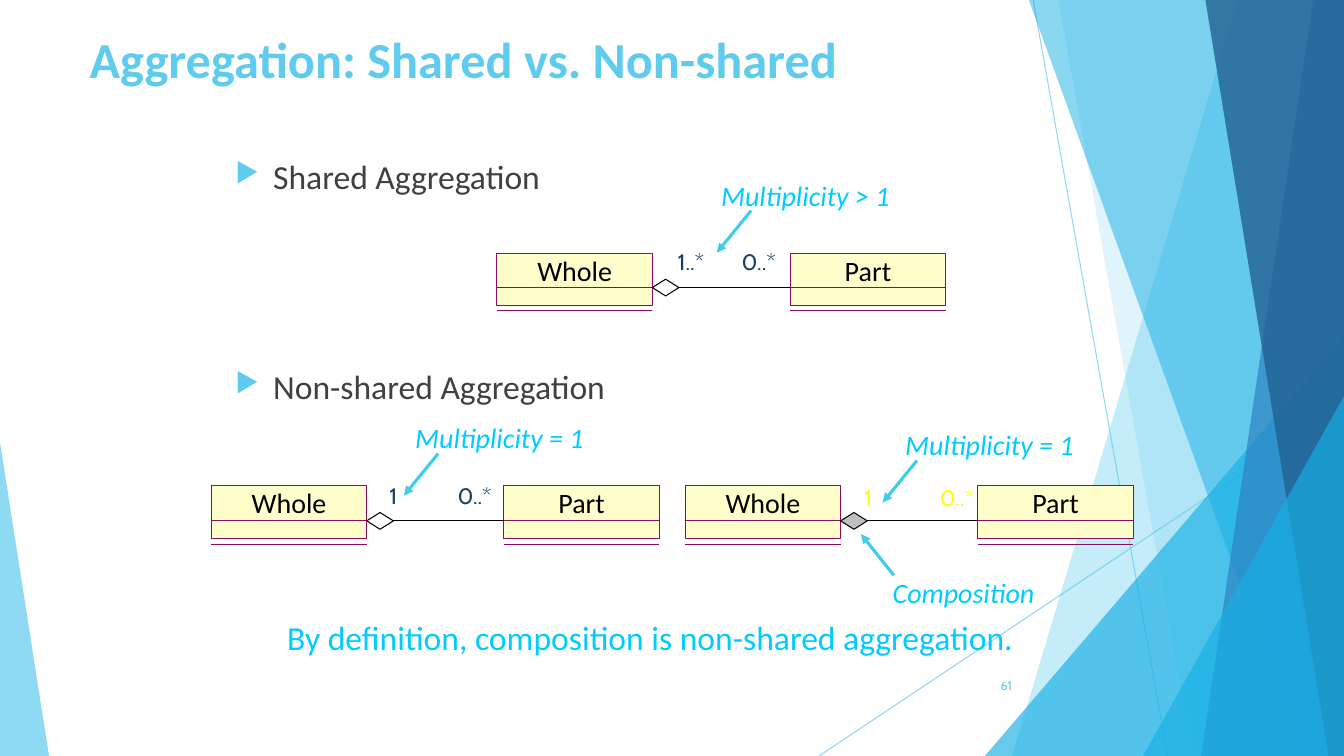
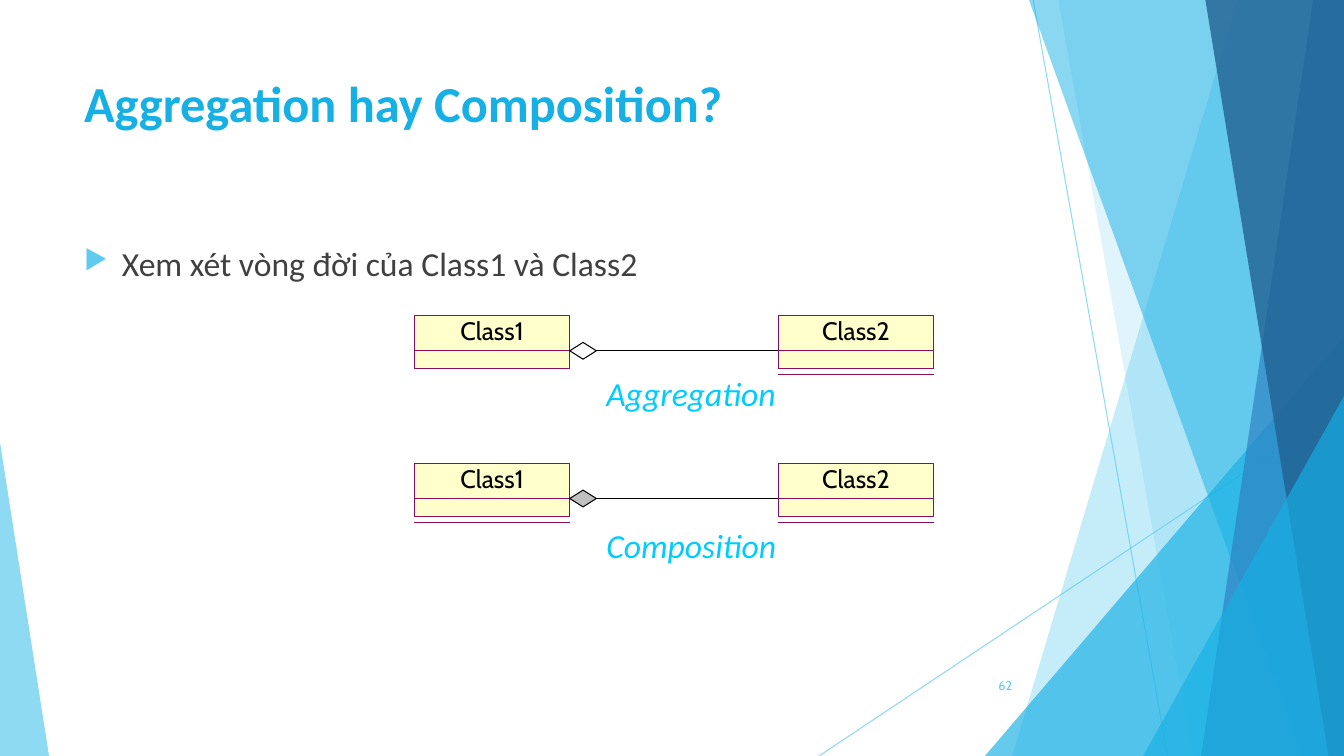
from lxml import etree
from pptx import Presentation
from pptx.dml.color import RGBColor
from pptx.enum.shapes import MSO_CONNECTOR, MSO_SHAPE
from pptx.enum.text import MSO_ANCHOR, PP_ALIGN
from pptx.oxml.ns import qn
from pptx.util import Pt

STRAIGHT = MSO_CONNECTOR.STRAIGHT
RECTANGLE = MSO_SHAPE.RECTANGLE
DIAMOND = MSO_SHAPE.DIAMOND
TRIANGLE = MSO_SHAPE.ISOSCELES_TRIANGLE
TOP, MIDDLE = MSO_ANCHOR.TOP, MSO_ANCHOR.MIDDLE
LEFT, CENTER, RIGHT = PP_ALIGN.LEFT, PP_ALIGN.CENTER, PP_ALIGN.RIGHT
RIGHT_SIDE = 3

SLIDE_WIDTH, SLIDE_HEIGHT = 960, 540
CLASS_WIDTH = 111
DIAMOND_WIDTH, DIAMOND_HEIGHT = 19, 12

COLORS = {
    "sky": "5FCBEF",
    "azure": "17B0E4",
    "blue": "2E83C3",
    "navy": "226292",
    "body": "404040",
    "accent": "00CCFF",
    "arrow": "3FCDE7",
    "multiplicity": "174162",
    "yellow": "FFFF00",
    "class_fill": "FFFFCC",
    "class_line": "8A0E5E",
    "composite": "C0C0C0",
    "black": "000000",
}

FONTS = {
    "title": {"name": "Calibri", "size": Pt(36), "bold": True},
    "body": {"name": "Calibri", "size": Pt(24)},
    "callout": {"name": "Calibri", "size": Pt(20), "italic": True},
    "caption": {"name": "Calibri", "size": Pt(24), "italic": True},
    "class": {"name": "Calibri", "size": Pt(20)},
    "class_small": {"name": "Cabin", "size": Pt(18)},
    "multiplicity": {"name": "Cabin", "size": Pt(16)},
    "number": {"name": "Cabin", "size": Pt(9)},
}

# Backdrop, back to front. Band: x at the top, x at the bottom.
# Triangle: left, top, width, apex position. Both end with colour, opacity.
BACKDROP = [
    ("band", (884, 723), "sky", 36),
    ("band", (756, 852), "sky", 20),
    ("triangle", (703.5, 240, 256.5, 1), "azure", 66),
    ("band", (735, 930), "azure", 50),
    ("band", (938, 858), "blue", 70),
    ("band", (861, 949), "navy", 80),
    ("triangle", (816.5, 283, 143.5, 1), "azure", 66),
    ("triangle", (0, 316, 35, 0), "sky", 70),
]


def color(name):
    return RGBColor.from_string(COLORS[name])


def set_opacity(shape, percent):
    for tint in shape.element.spPr.iter(qn("a:srgbClr")):
        etree.SubElement(tint, qn("a:alpha"), val=str(percent * 1000))


def paint(shape, fill=None, line=None):
    shape.shadow.inherit = False
    if fill:
        shape.fill.solid()
        shape.fill.fore_color.rgb = color(fill)
    else:
        shape.fill.background()
    if line:
        shape.line.color.rgb = color(line)
        shape.line.width = Pt(0.75)
    else:
        shape.line.fill.background()


def add_line(page, start, end, line, width=0.75, arrow=False):
    connector = page.shapes.add_connector(
        STRAIGHT, *(Pt(value) for value in (*start, *end)))
    connector.line.color.rgb = color(line)
    connector.line.width = Pt(width)
    properties = connector.element.spPr
    if arrow:
        etree.SubElement(properties.find(qn("a:ln")), qn("a:tailEnd"), type="triangle")
    etree.SubElement(properties, qn("a:effectLst"))
    return connector


def write(para, text, font, tint):
    span = para.add_run()
    span.text = text
    for name, value in FONTS[font].items():
        setattr(span.font, name, value)
    span.font.color.rgb = color(tint)


def add_text(page, text, area, font, tint, align=LEFT, anchor=TOP):
    box = page.shapes.add_textbox(*(Pt(value) for value in area))
    frame = box.text_frame
    frame.word_wrap = True
    frame.vertical_anchor = anchor
    para = frame.paragraphs[0]
    para.alignment = align
    write(para, text, font, tint)


def add_bullets(page, lines, area, gap=10):
    box = page.shapes.add_textbox(*(Pt(value) for value in area))
    frame = box.text_frame
    frame.word_wrap = True
    for index, text in enumerate(lines):
        para = frame.add_paragraph() if index else frame.paragraphs[0]
        properties = para._p.get_or_add_pPr()
        properties.set("marL", str(Pt(27)))
        properties.set("indent", str(-Pt(27)))
        tint = etree.SubElement(properties, qn("a:buClr"))
        etree.SubElement(tint, qn("a:srgbClr"), val=COLORS["sky"])
        etree.SubElement(properties, qn("a:buSzPct"), val="80000")
        etree.SubElement(properties, qn("a:buChar"), char="▶")
        if index:
            para.space_before = Pt(gap)
        write(para, text, "body", "body")


def add_backdrop(page):
    for start, end in (((738, 0), (834, 540)), ((960, 290), (585, 540))):
        set_opacity(add_line(page, start, end, "sky"), 70)
    for kind, geometry, fill, opacity in BACKDROP:
        if kind == "band":
            top_x, bottom_x = geometry
            outline = page.shapes.build_freeform(top_x, 0, scale=Pt(1))
            outline.add_line_segments([
                (SLIDE_WIDTH, 0), (SLIDE_WIDTH, SLIDE_HEIGHT), (bottom_x, SLIDE_HEIGHT)])
            shape = outline.convert_to_shape()
        else:
            left, top, width, apex = geometry
            shape = page.shapes.add_shape(
                TRIANGLE, Pt(left), Pt(top), Pt(width), Pt(SLIDE_HEIGHT - top))
            shape.adjustments[0] = apex
        paint(shape, fill)
        set_opacity(shape, opacity)


def add_page(deck, title, title_area, title_color, anchor, number):
    page = deck.slides.add_slide(deck.slide_layouts[6])
    add_backdrop(page)
    add_text(page, title, title_area, "title", title_color, anchor=anchor)
    add_text(page, number, (676, 475, 54, 29), "number", "sky", RIGHT, MIDDLE)
    return page


def divider_height(height):
    return round(height * 0.66, 2)


def add_class(page, name, left, top, height, font, shelf=True):
    """Class box with a divider and, below it, a shelf line."""
    box = page.shapes.add_shape(
        RECTANGLE, Pt(left), Pt(top), Pt(CLASS_WIDTH), Pt(height))
    paint(box, "class_fill", "class_line")
    frame = box.text_frame
    frame.vertical_anchor = TOP
    for side in ("left", "top", "right", "bottom"):
        setattr(frame, f"margin_{side}", 0)
    frame.paragraphs[0].alignment = CENTER
    write(frame.paragraphs[0], name, font, "black")
    levels = [divider_height(height)] + ([height + 4] if shelf else [])
    for level in levels:
        add_line(page, (left, top + level), (left + CLASS_WIDTH, top + level), "class_line")


def add_relation(page, names, left, top, pitch, height=38, font="class",
                 diamond_fill=None, first_shelf=True):
    """Two classes joined by a line with a diamond at the first one."""
    add_class(page, names[0], left, top, height, font, first_shelf)
    add_class(page, names[1], left + pitch, top, height, font)
    axis = top + divider_height(height)
    diamond_left = left + CLASS_WIDTH
    diamond = page.shapes.add_shape(
        DIAMOND, Pt(diamond_left), Pt(axis - DIAMOND_HEIGHT / 2),
        Pt(DIAMOND_WIDTH), Pt(DIAMOND_HEIGHT))
    paint(diamond, diamond_fill, "black")
    link = add_line(page, (diamond_left + DIAMOND_WIDTH, axis), (left + pitch, axis), "black")
    link.begin_connect(diamond, RIGHT_SIDE)


def add_multiplicities(page, labels, left, top, tint):
    """Labels, each centred at its offset from the left of the relation."""
    for text, center in labels:
        add_text(page, text, (left + center - 30, top, 60, 27),
                 "multiplicity", tint, CENTER)


def add_callout(page, text, left, top, arrow_offset, arrow_reach=(-24.5, 30)):
    add_text(page, text, (left, top, 176, 32), "callout", "accent")
    start = (left + arrow_offset[0], top + arrow_offset[1])
    end = (start[0] + arrow_reach[0], start[1] + arrow_reach[1])
    add_line(page, start, end, "arrow", 2.25, arrow=True)


def build_shared_page(deck):
    page = add_page(deck, "Aggregation: Shared vs. Non-shared",
                    (57, -10, 677, 104), "sky", MIDDLE, "61")
    add_bullets(page, ["Shared Aggregation", "Non-shared Aggregation"],
                (161, 108, 602, 356), gap=121)
    names = ("Whole", "Part")

    # Shared
    add_relation(page, names, 355, 181, 209.5, height=37)
    add_multiplicities(page, [("1..*", 138.5), ("0..*", 187)], 355, 174, "multiplicity")
    add_callout(page, "Multiplicity > 1", 508, 124, (28.5, 26.5))

    # Non-shared, as aggregation
    add_relation(page, names, 151, 347, 209)
    add_multiplicities(page, [("1", 130), ("0..*", 188)], 151, 340.5, "multiplicity")
    add_callout(page, "Multiplicity = 1", 289.5, 296.5, (23.5, 27.5))

    # Non-shared, as composition
    add_relation(page, names, 489.5, 347, 209, diamond_fill="composite")
    add_multiplicities(page, [("1", 130.5), ("0..*", 194)], 489.5, 342.5, "yellow")
    add_callout(page, "Multiplicity = 1", 639.5, 301.5, (15.5, 27.5))
    add_callout(page, "Composition", 630.5, 407.5, (8, 3.5), (-23.5, -29.5))

    add_text(page, "By definition, composition is non-shared aggregation.",
             (198, 437, 582, 36), "body", "accent")


def build_choice_page(deck):
    page = add_page(deck, "Aggregation hay Composition?",
                    (53, 48, 677, 104), "azure", TOP, "62")
    add_bullets(page, ["Xem xét vòng đời của Class1 và Class2"], (53, 170, 677, 305))
    relations = [
        ("Aggregation", 225.5, 263, None, False),
        ("Composition", 331, 371.5, "composite", True),
    ]
    for caption, top, caption_top, fill, shelf in relations:
        add_relation(page, ("Class1", "Class2"), 296, top, 260, font="class_small",
                     diamond_fill=fill, first_shelf=shelf)
        add_text(page, caption, (426, caption_top, 143, 36), "caption", "accent")


def main():
    deck = Presentation()
    deck.slide_width, deck.slide_height = Pt(SLIDE_WIDTH), Pt(SLIDE_HEIGHT)
    build_shared_page(deck)
    build_choice_page(deck)
    deck.save("out.pptx")


if __name__ == "__main__":
    main()
